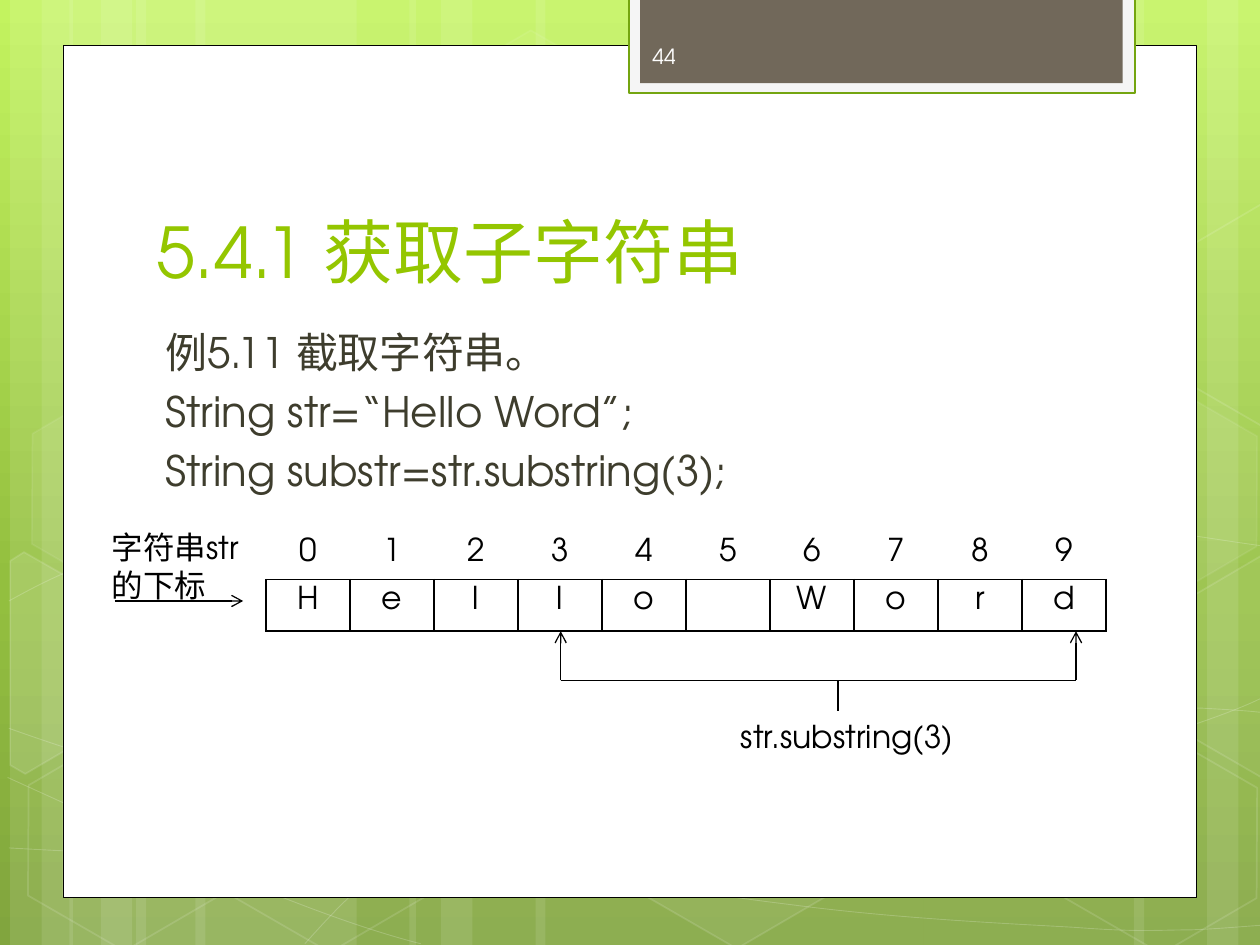
from copy import deepcopy
from math import cos, radians, sin

from lxml import etree
from pptx import Presentation
from pptx.dml.color import RGBColor
from pptx.enum.shapes import MSO_CONNECTOR, MSO_SHAPE
from pptx.enum.text import MSO_ANCHOR, PP_ALIGN
from pptx.oxml.ns import qn
from pptx.util import Emu, Inches, Pt

RECTANGLE, HEXAGON = MSO_SHAPE.RECTANGLE, MSO_SHAPE.HEXAGON
STRAIGHT = MSO_CONNECTOR.STRAIGHT
TOP, MIDDLE, BOTTOM = MSO_ANCHOR.TOP, MSO_ANCHOR.MIDDLE, MSO_ANCHOR.BOTTOM
CENTER = PP_ALIGN.CENTER

WIDTH, HEIGHT = Inches(10), Inches(7.5)
GRID_COLUMNS, GRID_ROWS = 100, 75
FONT = "TeX Gyre Adventor"
BLACK, WHITE = "000000", "FFFFFF"
TITLE_GREEN, BODY_BROWN = "94C600", "3E3D2D"

SKY = [(0, "C3F35F"), (0.62, "93BF3F"), (1, "81A53E")]
STRIPES = [(10.8, 17.5), (0.8, 5), (3.3, 8.3), (15.5, 17.5), (5.5, 5), (8, 8.3),
           (73.3, 17.5), (95.8, 5), (90, 8.3), (42.5, 30.8), (32.5, 5), (35, 8.3)]
CURVE, LINE = 3, 1
WAVES = [
    ([CURVE] * 4,
     [(0.7, 67.3), (6.1, 67.6), (11.5, 67.9), (19, 67.8), (26.5, 67.7), (35.8, 67.5),
      (45.8, 66.5), (55.8, 65.5), (70, 63.6), (79.2, 61.7), (88.3, 59.8), (97.7, 56.8),
      (100.7, 55.1)]),
    ([CURVE] * 4,
     [(0.7, 47.7), (3.6, 46.1), (6.5, 44.6), (12.1, 43.1), (17.8, 41.6), (25.9, 39.4),
      (34.7, 38.7), (43.6, 38), (54.4, 37.9), (65.4, 38.7), (76.4, 39.5), (94.7, 42.6),
      (100.7, 43.4)]),
    ([CURVE], [(0.6, 61.7), (12.7, 67.2), (24.7, 72.7), (33.4, 74.9)]),
    ([CURVE] * 6,
     [(0.7, 57.8), (3.8, 58.9), (7, 60), (12.8, 61.6), (18.6, 63.1), (27.3, 65.6),
      (35.7, 67.3), (44, 69), (54.5, 70.8), (62.8, 71.8), (71.1, 72.9), (80, 73.3),
      (85.3, 73.6), (90.5, 74), (91.9, 73.8), (94.5, 73.8), (97.1, 73.7), (98.9, 73.5),
      (100.7, 73.4)]),
    ([CURVE] * 7 + [LINE] + [CURVE] * 2,
     [(24.2, 74.9), (26, 72.9), (27.8, 70.9), (30.2, 69.1), (32.6, 67.3), (36, 65.3),
      (38.8, 63.9), (41.6, 62.5), (43.3, 61.9), (47, 60.9), (50.6, 59.9), (57.3, 58.5),
      (60.8, 57.8), (64.4, 57.1), (64.9, 57.1), (68, 56.9), (71.1, 56.6), (76, 56.3),
      (79.4, 56.2), (82.9, 56.1), (88.6, 56.2), (88.6, 56.2), (95.3, 56.2), (97.1, 56.3),
      (98.8, 56.4), (99.7, 56.5), (100.6, 56.6), (100.3, 56.5), (100.6, 56.6)]),
]
TILT = 30
HEXAGONS = [(33.4, 3.6, 4, 8), (49.7, 58.9, 6, 12), (1.1, 59.1, 0, 12),
            (1.4, 31.2, 7, 8), (17.4, 59.2, 0, 12), (75.3, 45.3, 10, 12),
            (83.4, 59.3, 0, 12), (83.4, 31.4, 7, 8)]
LEFT_CUT = [(0.8, 44.5), (1.9, 43.8), (9.6, 48.2), (9.5, 57), (2, 61.4), (0.8, 60.7)]
RIGHT_CUT = [(92.6, 48.5), (100.1, 44.1), (100.9, 44.6), (100.9, 61.3),
             (100.2, 61.7), (92.6, 57.3)]
UPPER_CUT = [(x, y - 27.9) for x, y in RIGHT_CUT]
CUT_HEXAGONS = [(LEFT_CUT, (3.6, 53.5), 10), (RIGHT_CUT, (98.5, 52), 4),
                (UPPER_CUT, (98.5, 24.1), 0)]

STRING = "Hello Word"
STRING_LEFT, STRING_WIDTH = 21.1, 66.7
START_X, END_X, CALL_X = 44.5, 85.4, 66.5
CELLS_BOTTOM, BRACKET_Y, CALL_Y = 50.1, 54, 56.4


def col(n):
    return Emu(round(n * WIDTH / GRID_COLUMNS))


def row(n):
    return Emu(round(n * HEIGHT / GRID_ROWS))


def box(left, top, width, height):
    return col(left), row(top), col(width), row(height)


def paint(fill, color, alpha=100):
    fill.solid()
    fill.fore_color.rgb = RGBColor.from_string(color)
    if alpha < 100:
        tint = fill._xPr.find(qn("a:solidFill"))[0]
        etree.SubElement(tint, qn("a:alpha")).set("val", str(alpha * 1000))


def style(shape, color=None, alpha=100, outline=None, weight=1, outline_alpha=100):
    shape.shadow.inherit = False
    if color and alpha:
        paint(shape.fill, color, alpha)
    else:
        shape.fill.background()
    if outline:
        paint(shape.line.fill, outline, outline_alpha)
        shape.line.width = Pt(weight)
    else:
        shape.line.fill.background()


def add_panel(slide, place, *look, **options):
    panel = slide.shapes.add_shape(RECTANGLE, *box(*place))
    style(panel, *look, **options)


def add_outline(slide, points, close):
    corners = [(col(x), row(y)) for x, y in points]
    builder = slide.shapes.build_freeform(*corners[0], scale=1.0)
    builder.add_line_segments(corners[1:], close=close)
    return builder.convert_to_shape()


def add_wave(slide, segments, knots):
    wave = add_outline(slide, knots, False)
    steps = iter(wave._element.findall(".//" + qn("a:lnTo")))
    for size in segments:
        first, *others = [next(steps) for _ in range(size)]
        if size == CURVE:
            curve = etree.Element(qn("a:cubicBezTo"))
            first.addprevious(curve)
            for step in (first, *others):
                curve.append(step[0])
                step.getparent().remove(step)
    style(wave, outline=WHITE, weight=0.5, outline_alpha=20)


def add_hexagon(slide, left, top, alpha, outline_alpha):
    hexagon = slide.shapes.add_shape(HEXAGON, *box(left, top, 17.5, 15.2))
    hexagon.adjustments[0], hexagon.adjustments[1] = 0.285, 1.155
    hexagon.rotation = TILT
    style(hexagon, WHITE, alpha, WHITE, 1, outline_alpha)


def add_cut_hexagon(slide, corners, center, alpha):
    cx, cy = center
    c, s = cos(radians(TILT)), sin(radians(TILT))
    upright = [(cx + (x - cx) * c + (y - cy) * s, cy - (x - cx) * s + (y - cy) * c)
               for x, y in corners]
    hexagon = add_outline(slide, upright, True)
    hexagon.rotation = TILT
    style(hexagon, WHITE, alpha, WHITE, 1, 12)


def write(paragraph, text, size, color):
    run = paragraph.add_run()
    run.text = text
    run.font.size = Pt(size)
    run.font.name = FONT
    paint(run.font.fill, color)


def add_text(slide, place, lines, size, color, anchor=TOP, indent=0, space=0):
    frame = slide.shapes.add_textbox(*box(*place)).text_frame
    frame.word_wrap = True
    frame.vertical_anchor = anchor
    frame.margin_left += col(indent)
    for i, line in enumerate(lines):
        paragraph = frame.add_paragraph() if i else frame.paragraphs[0]
        paragraph.space_before = Pt(space)
        write(paragraph, line, size, color)


def set_borders(cell, color):
    for side in ("a:lnL", "a:lnR", "a:lnT", "a:lnB"):
        border = etree.Element(qn(side), w=str(Pt(1)))
        fill = etree.SubElement(border, qn("a:solidFill" if color else "a:noFill"))
        if color:
            etree.SubElement(fill, qn("a:srgbClr")).set("val", color)
        properties = cell._tc.get_or_add_tcPr()
        properties.insert(len(properties) - 1, border)


def add_cells(slide, top, height, values, border=None):
    place = box(STRING_LEFT, top, STRING_WIDTH, height)
    table = slide.shapes.add_table(1, len(values), *place).table
    table.first_row = table.horz_banding = False
    for cell, value in zip(table.iter_cells(), values):
        cell.fill.background()
        set_borders(cell, border)
        paragraph = cell.text_frame.paragraphs[0]
        paragraph.alignment = CENTER
        if value.strip():
            write(paragraph, value, 18, BLACK)


def add_line(slide, x1, y1, x2, y2, arrow=False):
    line = slide.shapes.add_connector(STRAIGHT, col(x1), row(y1), col(x2), row(y2))
    paint(line.line.fill, BLACK)
    line.line.width = Pt(0.75)
    if arrow:
        etree.SubElement(line.line._ln, qn("a:tailEnd")).set("type", "arrow")
    etree.SubElement(line._element.spPr, qn("a:effectLst"))


def add_backdrop(slide):
    sky = slide.background.fill
    sky.gradient()
    sky.gradient_angle = 270
    stops = slide._element.find(".//" + qn("a:gsLst"))
    stops.append(deepcopy(stops[0]))
    for stop, (position, color) in zip(sky.gradient_stops, SKY):
        stop.position = position
        stop.color.rgb = RGBColor.from_string(color)
    for left, width in STRIPES:
        add_panel(slide, (left, 0, width, GRID_ROWS), WHITE, 10)
    for wave in WAVES:
        add_wave(slide, *wave)
    for hexagon in HEXAGONS:
        add_hexagon(slide, *hexagon)
    for cut_hexagon in CUT_HEXAGONS:
        add_cut_hexagon(slide, *cut_hexagon)
    add_panel(slide, (5, 3.6, 90, 67.6), WHITE, outline=BLACK, weight=0.5)
    add_panel(slide, (49.9, -0.2, 40.2, 7.6), "F5F5F5", outline="74A510", weight=1.25)
    add_panel(slide, (50.8, -0.2, 38.3, 6.8), "71685A")


def add_string_diagram(slide):
    add_cells(slide, 46, 4.1, STRING, BLACK)
    add_cells(slide, 42.2, 4, [str(i) for i in range(len(STRING))])
    add_line(slide, 9.1, 47.7, 19.3, 47.7, arrow=True)
    add_text(slide, (7.9, 41.4, 12.2, 7.1), ["字符串str", "的下标"], 18, BLACK)
    add_line(slide, START_X, BRACKET_Y, END_X, BRACKET_Y)
    for x in (START_X, END_X):
        add_line(slide, x, BRACKET_Y, x, CELLS_BOTTOM, arrow=True)
    add_line(slide, CALL_X, BRACKET_Y, CALL_X, CALL_Y)
    add_text(slide, (57.8, CALL_Y, 19.2, 4), ["str.substring(3)"], 18, BLACK)


def main():
    deck = Presentation()
    deck.slide_width, deck.slide_height = WIDTH, HEIGHT
    slide = deck.slides.add_slide(deck.slide_layouts[6])
    add_backdrop(slide)
    add_text(slide, (11.4, 11.2, 76.8, 12.5), ["5.4.1 获取子字符串"], 40, TITLE_GREEN, BOTTOM)
    add_text(slide, (11.4, 25.4, 74.1, 38.4),
             ["例5.11 截取字符串。", "String str=“Hello Word”;", "String substr=str.substring(3);"],
             24, BODY_BROWN, indent=0.7, space=5)
    add_string_diagram(slide)
    add_text(slide, (50.8, 2.45, 14.6, 4), ["44"], 12, "FEFEFE", MIDDLE)
    deck.save("out.pptx")


if __name__ == "__main__":
    main()
